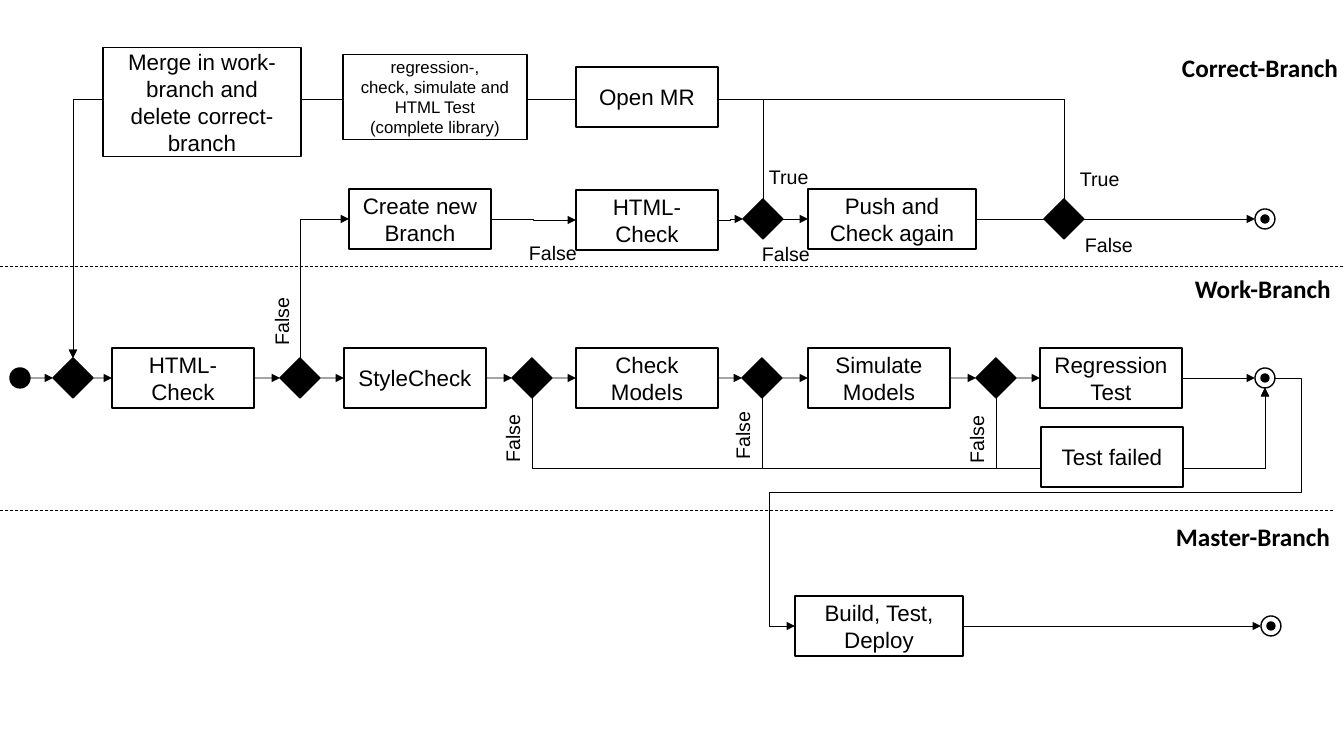
from itertools import pairwise
from lxml import etree
from pptx import Presentation
from pptx.dml.color import RGBColor
from pptx.enum import dml, shapes, text
from pptx.oxml.ns import qn
from pptx.util import Pt

BLACK = RGBColor(0, 0, 0)
WHITE = RGBColor(255, 255, 255)
SCALE = 914400 / 100.8
W, H = 1344, 756
BOX_W, BOX_H, WIDE_W = 142, 60, 168
DIAMOND, DOT, CORE = 40, 20, 8
END_X = 1265
GEOM = shapes.MSO_SHAPE
LINK = shapes.MSO_CONNECTOR


def px(n):
    return round(n * SCALE)


def add_shape(parent, kind, x, y, w, h, fill=BLACK):
    sp = parent.shapes.add_shape(kind, px(x), px(y), px(w), px(h))
    sp.shadow.inherit = False
    sp.fill.solid()
    sp.fill.fore_color.rgb = fill
    sp.line.color.rgb = BLACK
    sp.line.width = Pt(1)
    return sp


def add_node(parent, kind, cx, cy, size, fill=BLACK):
    return add_shape(parent, kind, cx - size / 2, cy - size / 2, size, size, fill)


def add_diamond(sl, cx, cy):
    return add_node(sl, GEOM.DIAMOND, cx, cy, DIAMOND)


def add_end(sl, cx, cy):
    group = sl.shapes.add_group_shape()
    add_node(group, GEOM.OVAL, cx, cy, DOT, WHITE)
    add_node(group, GEOM.OVAL, cx, cy, CORE)
    return group


def write(tf, words, size, font, align, bold=False):
    tf.text = words
    for p in tf.paragraphs:
        p.alignment = align
        p.font.size = Pt(size)
        p.font.name = font
        p.font.bold = bold
        p.font.color.rgb = BLACK


def add_step(sl, words, x, cy, w=BOX_W, h=BOX_H, size=16):
    sp = add_shape(sl, GEOM.RECTANGLE, x, cy - h / 2, w, h, WHITE)
    sp.text_frame.word_wrap = True
    sp.text_frame.vertical_anchor = text.MSO_ANCHOR.MIDDLE
    write(sp.text_frame, words, size, "Arial", text.PP_ALIGN.CENTER)
    return sp


def add_label(sl, words, x, y, w, h=34, size=14, font="Arial", bold=False, turn=0):
    sp = sl.shapes.add_textbox(px(x), px(y), px(w), px(h))
    sp.rotation = turn
    sp.text_frame.word_wrap = False
    sp.text_frame.auto_size = text.MSO_AUTO_SIZE.SHAPE_TO_FIT_TEXT
    write(sp.text_frame, words, size, font, text.PP_ALIGN.LEFT, bold)


def add_heading(sl, words, x, y, w):
    add_label(sl, words, x, y, w, 40, 18, "Calibri", True)


def style_line(sl, line, arrow=True):
    line.line.color.rgb = BLACK
    line.line.width = Pt(0.5)
    sp_pr = line._element.spPr
    if arrow:
        etree.SubElement(sp_pr.find(qn("a:ln")), qn("a:tailEnd"), type="triangle")
    else:
        line.line.dash_style = dml.MSO_LINE.DASH
    etree.SubElement(sp_pr, qn("a:effectLst"))
    sl.shapes._spTree.insert(2, line._element)


def add_divider(sl, x1, x2, y):
    line = sl.shapes.add_connector(LINK.STRAIGHT, px(x1), px(y), px(x2), px(y))
    style_line(sl, line, arrow=False)


def chain(sl, nodes):
    for a, b in pairwise(nodes):
        y1, y2 = a.top + a.height // 2, b.top + b.height // 2
        kind = LINK.ELBOW if abs(y2 - y1) > px(0.5) else LINK.STRAIGHT
        line = sl.shapes.add_connector(kind, a.left + a.width, y1, b.left, y2)
        if a.width > px(DOT):
            line.begin_connect(a, 3)
        if b.width > px(DOT):
            line.end_connect(b, 1)
        style_line(sl, line)


def add_elbow(sl, start, end, bends, vertical=True):
    axes = (1, 0) if vertical else (0, 1)
    delta = [e - s for s, e in zip(start, end)]
    w, h = (abs(delta[a]) for a in axes)
    cx, cy = ((s + e) / 2 for s, e in zip(start, end))
    line = sl.shapes.add_connector(LINK.ELBOW, 0, 0, 1, 1)
    line.left, line.top = px(cx - w / 2), px(cy - h / 2)
    line.width, line.height = px(w), px(h)
    xfrm = line._element.spPr.find(qn("a:xfrm"))
    if vertical:
        xfrm.set("rot", str((90 if delta[1] < 0 else 270) * 60000))
    xfrm.set("flipH", str(int(vertical or delta[0] < 0)))
    xfrm.set("flipV", str(int(vertical or delta[1] < 0)))
    geom = line._element.spPr.find(qn("a:prstGeom"))
    geom.set("prst", f"bentConnector{len(bends) + 2}")
    guides = geom.find(qn("a:avLst"))
    for i, bend in enumerate(bends):
        axis = axes[i % 2]
        share = round((bend - start[axis]) / delta[axis] * 100000)
        etree.SubElement(guides, qn("a:gd"), name=f"adj{i + 1}", fmla=f"val {share}")
    style_line(sl, line)


def correct_lane(sl, x, y, w, h):
    mid, top = y + 219, y + 99
    add_divider(sl, x, x + w, y + h)
    add_heading(sl, "Correct-Branch", x + 1172, y + 47, 178)
    chain(sl, [
        add_step(sl, "Create new Branch", x + 349, mid),
        add_step(sl, "HTML-Check", x + 576, mid + 1),
        add_diamond(sl, x + 763, mid),
        add_step(sl, "Push and Check again", x + 808, mid, WIDE_W),
        add_end(sl, x + END_X, mid),
    ])
    add_diamond(sl, x + 1064, mid)
    for cx in (763, 1064):
        add_elbow(sl, (x + cx, mid - DIAMOND / 2), (x + 73, y + h + 92), [top])
    add_step(sl, "Open MR", x + 576, top - 2)
    add_step(sl, "Merge in work-branch and delete correct-branch", x + 103, top + 3, 198, 109)
    add_step(sl, "regression-,\ncheck, simulate and HTML Test\n(complete library)",
             x + 343, top - 2, 184, 85, 12)
    for words, lx, ly in (("False", 519, 236), ("False", 752, 237), ("False", 1075, 228),
                          ("True", 759, 160), ("True", 1070, 162)):
        add_label(sl, words, x + lx, y + ly, 69 if words == "False" else 60)


def work_lane(sl, x, y, w, h):
    mid, low = y + 112, y + 202
    add_divider(sl, x, x + w - 9, y + h)
    add_heading(sl, "Work-Branch", x + 1185, y + 2, 158)
    names = ("HTML-Check", "StyleCheck", "Check Models", "Simulate Models", "Regression Test")
    centres = (73, 300, 532, 762, 996)
    nodes = [add_node(sl, GEOM.OVAL, x + 20, mid, DOT)]
    for i, (name, cx) in enumerate(zip(names, centres)):
        nodes += [add_diamond(sl, x + cx, mid), add_step(sl, name, x + 112 + 232 * i, mid)]
    chain(sl, nodes + [add_end(sl, x + END_X, mid)])
    add_elbow(sl, (x + 300, mid - DIAMOND / 2), (x + 349, y - 47), [])
    for cx in centres[2:]:
        add_elbow(sl, (x + cx, mid + DIAMOND / 2), (x + END_X, mid + DOT / 2), [low])
    add_step(sl, "Test failed", x + 1041, low - 11)
    for lx, ly in ((247, 38), (478, 155), (708, 152), (942, 156)):
        add_label(sl, "False", x + lx, y + ly, 69, turn=270)


def master_lane(sl, x, y, w, h):
    mid = y + 116
    add_heading(sl, "Master-Branch", x + 1166, y + 6, 176)
    chain(sl, [add_step(sl, "Build, Test, Deploy", x + 795, mid, WIDE_W),
               add_end(sl, x + 1271, mid)])
    add_elbow(sl, (x + END_X + DOT / 2, y - 132), (x + 795, mid),
              [x + 1301, y - 18, x + 769], vertical=False)


prs = Presentation()
prs.slide_width, prs.slide_height = px(W), px(H)
sl = prs.slides.add_slide(prs.slide_layouts[6])
correct_lane(sl, 0, 0, W, 266)
work_lane(sl, 0, 266, W, 244)
master_lane(sl, 0, 510, W, 246)
prs.save("out.pptx")
